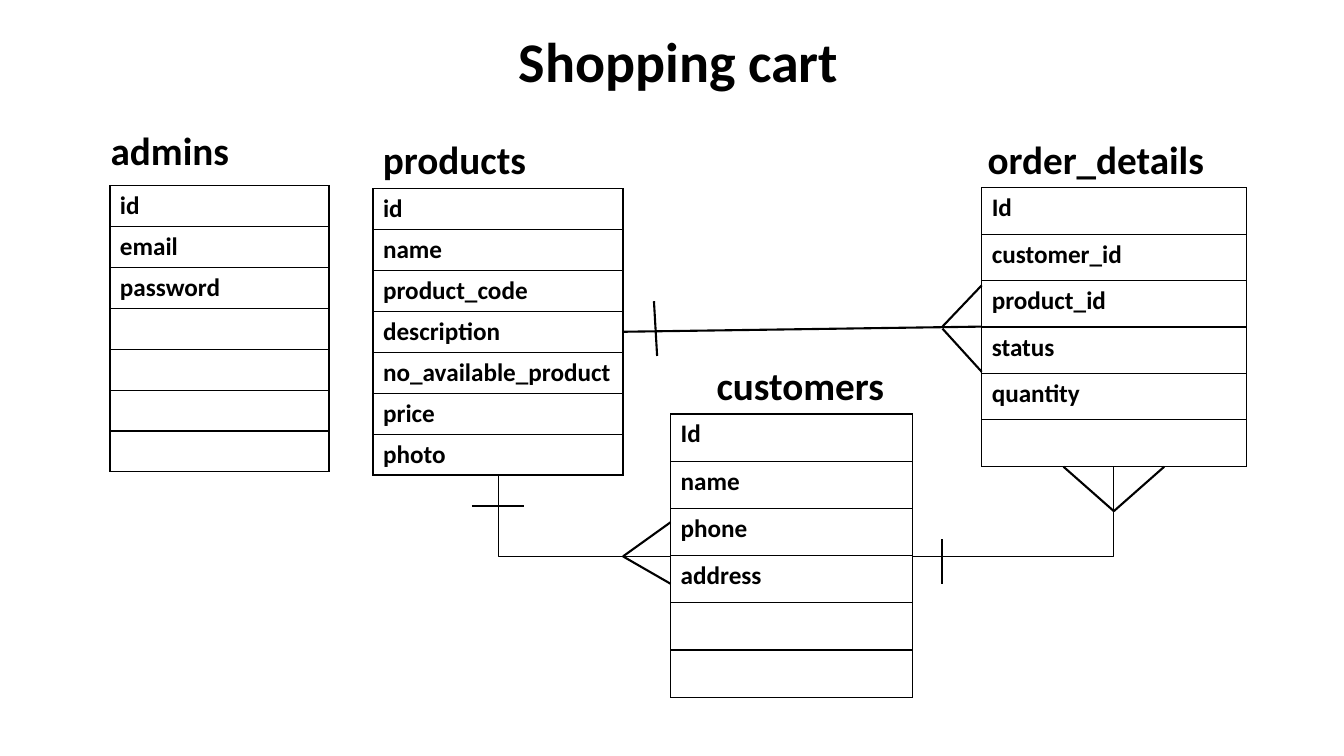
from lxml import etree
from pptx import Presentation
from pptx.dml.color import RGBColor
from pptx.enum.shapes import MSO_CONNECTOR
from pptx.enum.text import MSO_ANCHOR, MSO_AUTO_SIZE, PP_ALIGN
from pptx.oxml.ns import qn
from pptx.util import Cm, Pt

STRAIGHT, ELBOW = MSO_CONNECTOR.STRAIGHT, MSO_CONNECTOR.ELBOW
BOTTOM, CENTER = MSO_ANCHOR.BOTTOM, PP_ALIGN.CENTER
NO_AUTOSIZE = MSO_AUTO_SIZE.NONE
COLORS = {"ink": "000000"}
INK = RGBColor.from_string(COLORS["ink"])
FONT = "Calibri"

prs = Presentation()
prs.slide_width, prs.slide_height = Cm(33.87), Cm(19.05)
slide = prs.slides.add_slide(prs.slide_layouts[5])


def write(paragraph, text, size):
    run = paragraph.add_run()
    run.text = text
    run.font.name = FONT
    run.font.size = Pt(size)
    run.font.bold = True
    run.font.color.rgb = INK


def connect(kind, start, end, width):
    link = slide.shapes.add_connector(kind, *(Cm(v) for v in start + end))
    link.line.color.rgb = INK
    link.line.width = Pt(width)
    properties = link._element.spPr
    etree.SubElement(properties, qn("a:effectLst"))
    if kind == ELBOW:
        properties.find(qn("a:prstGeom")).set("prst", "bentConnector2")


title = slide.shapes.title
title.left, title.top, title.width, title.height = Cm(4.4), Cm(0.43), Cm(25.4), Cm(2.08)
title.text_frame.auto_size = NO_AUTOSIZE
title.text_frame.vertical_anchor = BOTTOM
heading = title.text_frame.paragraphs[0]
heading.alignment = CENTER
heading.line_spacing = 0.9
write(heading, "Shopping cart", 40)

entities = [
    ("admins", (2.54, 3.05, 5.21), (2.77, 4.68, 5.52, 1.03),
     ["id", "email", "password", "", "", "", ""]),
    ("products", (9.4, 3.28, 4.62), (9.4, 4.76, 6.3, 1.03),
     ["id", "name", "product_code", "description", "no_available_product", "price", "photo"]),
    ("customers", (17.81, 8.97, 5.94), (16.9, 10.43, 6.1, 1.19),
     ["Id", "name", "phone", "address", "", ""]),
    ("order_details", (24.64, 3.28, 6.86), (24.74, 4.73, 6.68, 1.17),
     ["Id", "customer_id", "product_id", "status", "quantity", ""]),
]

for entity, (label_left, label_top, label_width), (left, top, width, row_height), fields in entities:
    label = slide.shapes.add_textbox(Cm(label_left), Cm(label_top), Cm(label_width), Cm(1.45))
    label.text_frame.word_wrap = True
    write(label.text_frame.paragraphs[0], entity, 28)

    table = slide.shapes.add_table(len(fields), 1, Cm(left), Cm(top), Cm(width),
                                   Cm(row_height * len(fields))).table
    table.first_row = False
    table.horz_banding = False
    for row, field in enumerate(fields):
        table.rows[row].height = Cm(row_height)
        cell = table.cell(row, 0)
        cell.fill.background()
        if field:
            write(cell.text_frame.paragraphs[0], field, 18)
        cell_properties = cell._tc.get_or_add_tcPr()
        for position, side in enumerate(("lnL", "lnR", "lnT", "lnB")):
            border = etree.Element(qn(f"a:{side}"), w=str(Pt(1)))
            paint = etree.SubElement(border, qn("a:solidFill"))
            etree.SubElement(paint, qn("a:srgbClr"), val=COLORS["ink"])
            cell_properties.insert(position, border)

elbows = [
    ((16.9, 14.02), (12.55, 11.96)),
    ((23.0, 14.02), (28.07, 11.76)),
]
for start, end in elbows:
    connect(ELBOW, start, end, 0.5)

strokes = [
    ((11.89, 12.75), (13.21, 12.75)),
    ((15.7, 14.02), (16.9, 13.16)),
    ((15.7, 14.02), (16.9, 14.71)),
    ((15.7, 8.36), (24.74, 8.23)),
    ((16.48, 7.59), (16.56, 8.97)),
    ((23.75, 13.59), (23.75, 14.71)),
    ((26.8, 11.76), (28.07, 12.88)),
    ((28.07, 12.88), (29.34, 11.76)),
    ((24.74, 7.19), (23.75, 8.23)),
    ((23.75, 8.28), (24.74, 9.37)),
]
for start, end in strokes:
    connect(STRAIGHT, start, end, 1.5)

prs.save("out.pptx")
